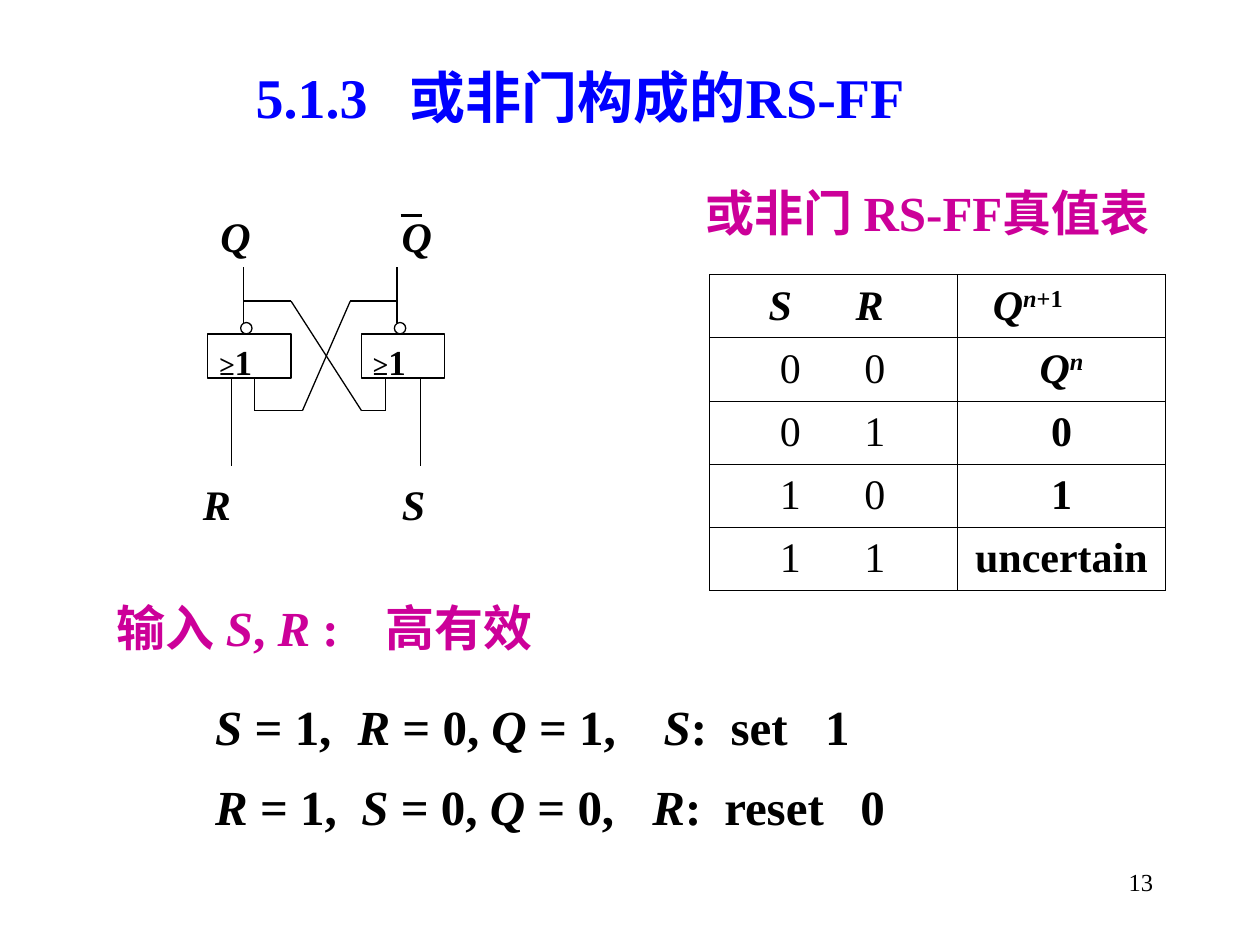
from dataclasses import dataclass

from lxml import etree
from pptx import Presentation
from pptx.dml.color import RGBColor
from pptx.enum.shapes import MSO_CONNECTOR, MSO_SHAPE
from pptx.enum.text import MSO_ANCHOR, PP_ALIGN
from pptx.oxml.ns import qn
from pptx.util import Inches, Pt

LINE = MSO_CONNECTOR.STRAIGHT
RECT, OVAL = MSO_SHAPE.RECTANGLE, MSO_SHAPE.OVAL
TOP, MID = MSO_ANCHOR.TOP, MSO_ANCHOR.MIDDLE
LEFT, MIDDLE, RIGHT = PP_ALIGN.LEFT, PP_ALIGN.CENTER, PP_ALIGN.RIGHT


@dataclass(frozen=True)
class Theme:
    font: str = "Times New Roman"
    ink: str = "000000"
    paper: str = "FFFFFF"
    blue: str = "0000FF"
    pink: str = "CC0099"
    title: int = 32
    head: int = 28
    body: int = 24
    gate: int = 20
    sign: int = 16
    page: int = 14
    wire: float = 0.75
    bar: float = 1.5
    rule: float = 0.34


THEME = Theme()
GATES = (1.65, 2.87)
GATE_TOP, GATE_W, GATE_H = 2.65, 0.66, 0.35
GATE_END = GATE_TOP + GATE_H
TAP, LOOP = 2.39, 3.26
OUT = 0.28

ROWS = (
    ("0\t0", (("Q", "i"), ("n", "i^"))),
    ("0\t1", "0"),
    ("1\t0", "1"),
    ("1\t1", "uncertain"),
)


def rgb(code):
    return RGBColor.from_string(code)


def mix(text):
    """Split text into runs; the parts between asterisks are italic."""
    parts = enumerate(text.split("*"))
    return [(part, "i" if n % 2 else "") for n, part in parts if part]


def write(frame, text, *, size=THEME.body, color=THEME.ink, bold=True,
          align=LEFT, tabs=()):
    """Fill a frame with runs of (text, flags, size); flags: i italic, ^ raised."""
    para = frame.paragraphs[0]
    para.alignment = align
    if tabs:
        stops = etree.SubElement(para._p.get_or_add_pPr(), qn("a:tabLst"))
        for stop in tabs:
            etree.SubElement(stops, qn("a:tab"), pos=str(Inches(stop)), algn="l")
    for part, flags, *own in mix(text) if isinstance(text, str) else text:
        run = para.add_run()
        run.text = part
        font = run.font
        font.name, font.size = THEME.font, Pt(own[0] if own else size)
        font.bold, font.italic = bold, "i" in flags
        font.color.rgb = rgb(color)
        if "^" in flags:
            run._r.get_or_add_rPr().set("baseline", "30000")


def label(slide, x, y, w, h, text, *, pad=0.1, anchor=TOP, **style):
    frame = slide.shapes.add_textbox(*map(Inches, (x, y, w, h))).text_frame
    frame.word_wrap = True
    frame.vertical_anchor = anchor
    frame.margin_left = frame.margin_right = Inches(pad)
    write(frame, text, **style)


def wire(slide, x1, y1, x2, y2, width=THEME.wire):
    line = slide.shapes.add_connector(LINE, *map(Inches, (x1, y1, x2, y2)))
    line.line.color.rgb = rgb(THEME.ink)
    line.line.width = Pt(width)
    etree.SubElement(line._element.spPr, qn("a:effectLst"))


def shape(slide, kind, x, y, w, h):
    item = slide.shapes.add_shape(kind, *map(Inches, (x, y, w, h)))
    item.shadow.inherit = False
    item.fill.solid()
    item.fill.fore_color.rgb = rgb(THEME.paper)
    item.line.color.rgb = rgb(THEME.ink)
    item.line.width = Pt(THEME.wire)


def gate(slide, x):
    """Draw a NOR gate with its bubble and output wire."""
    shape(slide, RECT, x, GATE_TOP, GATE_W, GATE_H)
    label(slide, x + 0.09, GATE_TOP, 0.49, 0.44,
          [("≥", "", THEME.sign), ("1", "", THEME.gate)], pad=0)
    shape(slide, OVAL, x + 0.26, 2.56, 0.09, 0.09)
    wire(slide, x + OUT, 2.12, x + OUT, 2.56)


def circuit(slide):
    for x in GATES:
        gate(slide, x)
    first, last = (x + OUT for x in GATES)
    trails = (
        ((first, TAP), (2.31, TAP), (2.87, LOOP), (3.06, LOOP), (3.06, GATE_END)),
        ((last, TAP), (2.78, TAP), (2.4, LOOP), (2.02, LOOP), (2.02, GATE_END)),
        ((1.84, GATE_END), (1.84, 3.7)),
        ((3.34, GATE_END), (3.34, 3.7)),
    )
    for trail in trails:
        for start, end in zip(trail, trail[1:]):
            wire(slide, *start, *end)
    label(slide, 1.65, 1.62, 0.5, 0.5, "*Q*")
    label(slide, 3.09, 1.62, 0.5, 0.5, "*Q*")
    wire(slide, 3.18, 1.71, 3.35, 1.71, THEME.bar)
    label(slide, 1.61, 3.75, 0.33, 0.5, "*R*", pad=0)
    label(slide, 3.19, 3.75, 0.33, 0.5, "*S*", pad=0)


def border(cell):
    props = cell._tc.get_or_add_tcPr()
    for side in ("a:lnL", "a:lnR", "a:lnT", "a:lnB"):
        edge = etree.SubElement(props, qn(side), w=str(Pt(THEME.rule)))
        fill = etree.SubElement(edge, qn("a:solidFill"))
        etree.SubElement(fill, qn("a:srgbClr"), val=THEME.ink)


def fill_cell(cell, text, pad=0.1, **style):
    cell.vertical_anchor = MID
    cell.margin_left = Inches(pad)
    border(cell)
    cell.fill.background()
    write(cell.text_frame, text, **style)


def truth(slide):
    frame = slide.shapes.add_table(len(ROWS) + 1, 2, *map(Inches, (5.63, 2.18, 3.62, 2.5)))
    table = frame.table
    table.first_row = table.horz_banding = False
    for col, width in zip(table.columns, (1.97, 1.65)):
        col.width = Inches(width)
    fill_cell(table.cell(0, 0), "*S\tR*", pad=0.47, tabs=[0.69])
    fill_cell(table.cell(0, 1), [("Q", "i"), ("n", "i^"), ("+1", "^")], pad=0.28)
    for n, (inputs, state) in enumerate(ROWS, 1):
        fill_cell(table.cell(n, 0), inputs, pad=0.56, bold=False, tabs=[0.67])
        fill_cell(table.cell(n, 1), state, align=MIDDLE)


def main():
    deck = Presentation()
    deck.slide_width, deck.slide_height = Inches(10), Inches(7.5)
    slide = deck.slides.add_slide(deck.slide_layouts[6])

    label(slide, 1.93, 0.44, 6.22, 0.64, "5.1.3\t或非门构成的RS-FF", anchor=MID,
          size=THEME.title, color=THEME.blue, tabs=[1.22])
    circuit(slide)
    label(slide, 5.47, 1.16, 3.78, 1.04, "或非门 RS-FF真值表", anchor=MID,
          size=THEME.head, color=THEME.pink, align=MIDDLE)
    truth(slide)
    label(slide, 0.83, 4.69, 4.65, 0.57, "输入 *S*, *R* :\t高有效",
          size=THEME.head, color=THEME.pink, tabs=[2.13])
    label(slide, 1.61, 5.48, 6.06, 0.57, "*S* = 1,\t*R* = 0, *Q* = 1,\t*S*:\tset\t1",
          size=THEME.head, tabs=[1.13, 3.56, 4.09, 4.84])
    label(slide, 1.61, 6.11, 5.83, 0.57, "*R* = 1,\t*S* = 0, *Q* = 0,\t*R*:\treset\t0",
          size=THEME.head, tabs=[1.16, 3.47, 4.04, 5.12])
    label(slide, 7.17, 6.83, 2.08, 0.5, "13", size=THEME.page, bold=False, align=RIGHT)
    deck.save("out.pptx")


if __name__ == "__main__":
    main()
